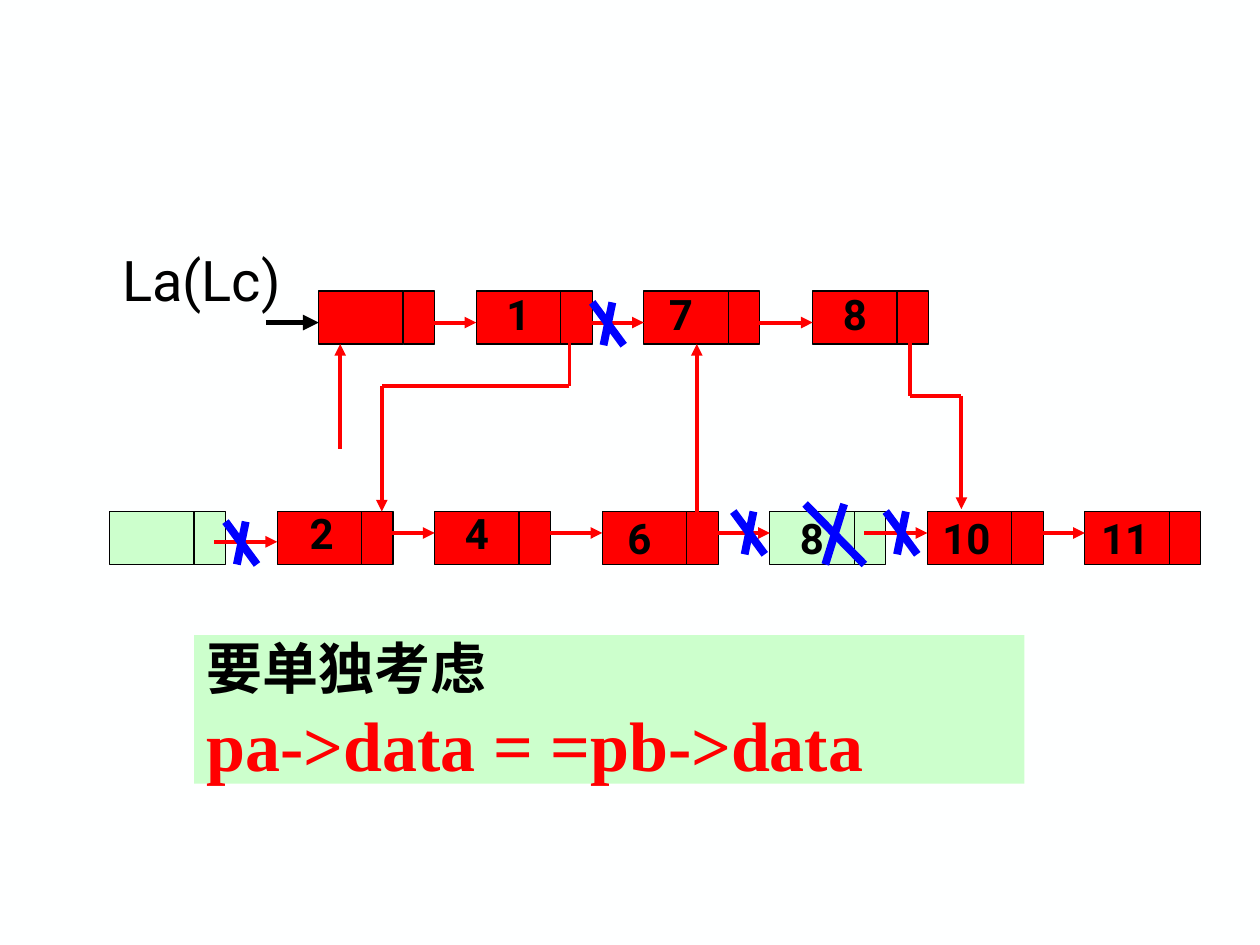
from collections import namedtuple

from lxml import etree
from pptx import Presentation
from pptx.dml.color import RGBColor
from pptx.enum.shapes import MSO_CONNECTOR, MSO_SHAPE
from pptx.enum.text import MSO_ANCHOR, MSO_AUTO_SIZE, PP_ALIGN
from pptx.oxml.ns import qn
from pptx.util import Inches, Pt

STRAIGHT = MSO_CONNECTOR.STRAIGHT
RECTANGLE = MSO_SHAPE.RECTANGLE
MIDDLE = MSO_ANCHOR.MIDDLE
FIT_SHAPE = MSO_AUTO_SIZE.SHAPE_TO_FIT_TEXT
LEFT = PP_ALIGN.LEFT

PAPER = RGBColor(0xFE, 0xFF, 0xFF)
BLACK = RGBColor(0, 0, 0)
RED = RGBColor(0xFF, 0, 0)
BLUE = RGBColor(0, 0, 0xFF)
GREEN = RGBColor(0xCC, 0xFF, 0xCC)

SANS, SERIF = "Roboto", "Times New Roman"
DATA_WIDTH, LINK_WIDTH, NODE_HEIGHT = 0.67, 0.25, 0.42
LABEL_HEIGHT = 0.5

Box = namedtuple("Box", "left top width height")
Node = namedtuple("Node", "left fill label label_left label_top",
                  defaults=("", 0, 0))


def add_text(para, text, *, size, color=BLACK, font=SANS, bold=False):
    span = para.add_run()
    span.text = text
    span.font.name = font
    span.font.size = Pt(size)
    span.font.bold = bold
    span.font.color.rgb = color


def add_label(shapes, box, text, *, wrap=False, **style):
    label = shapes.add_textbox(*map(Inches, box))
    label.text_frame.word_wrap = wrap
    label.text_frame.auto_size = FIT_SHAPE
    add_text(label.text_frame.paragraphs[0], text, **style)


def add_rectangle(shapes, box, fill, outline=None):
    rectangle = shapes.add_shape(RECTANGLE, *map(Inches, box))
    rectangle.shadow.inherit = False
    rectangle.fill.solid()
    rectangle.fill.fore_color.rgb = fill
    if outline is None:
        rectangle.line.fill.background()
    else:
        rectangle.line.color.rgb = outline
        rectangle.line.width = Pt(0.75)
    return rectangle


def add_line(shapes, start, end, *, color=RED, width=2.25, arrow=True):
    line = shapes.add_connector(STRAIGHT, *map(Inches, (*start, *end)))
    line.line.color.rgb = color
    line.line.width = Pt(width)
    if arrow:
        outline = line.line._get_or_add_ln()
        etree.SubElement(outline, qn("a:tailEnd"), type="triangle")
    etree.SubElement(line._element.spPr, qn("a:effectLst"))


def add_node(shapes, left, top, fill):
    """A data cell with a narrow link cell on its right."""
    group = shapes.add_group_shape()
    data = Box(left, top, DATA_WIDTH, NODE_HEIGHT)
    link = Box(left + DATA_WIDTH, top, LINK_WIDTH, NODE_HEIGHT)
    for cell in (data, link):
        add_rectangle(group.shapes, cell, fill, BLACK)


def add_cross(shapes, box, upstroke_left=0.09):
    group = shapes.add_group_shape()
    right, bottom = box.left + box.width, box.top + box.height
    upstroke_top = (right - upstroke_left, box.top)
    strokes = [(upstroke_top, (box.left + upstroke_left, bottom)),
               ((box.left, box.top), (right, bottom))]
    for start, end in strokes:
        add_line(group.shapes, start, end, color=BLUE, width=4.5, arrow=False)


def add_list_row(page, box, nodes, arrows):
    """One linked list: its nodes, forward arrows and values."""
    for node in nodes:
        add_node(page.shapes, box.left + node.left, box.top, node.fill)
    for left, top in arrows:
        start = (box.left + left, box.top + top)
        add_line(page.shapes, start, (start[0] + 0.5, start[1]))
    for node in nodes:
        if node.label:
            place = Box(box.left + node.left + node.label_left,
                        box.top + node.label_top,
                        0.2 + 0.19 * len(node.label), LABEL_HEIGHT)
            add_label(page.shapes, place, node.label, size=24, bold=True)


def add_relinks(page, box):
    """Lines between the two lists; only the last piece has an arrowhead."""
    routes = [
        [(0.17, 1.25), (0.17, 0.42)],
        [(1.99, 0.25), (1.99, 0.75), (0.5, 0.75), (0.5, 1.75)],
        [(3, 1.92), (3, 0.42)],
        [(4.69, 0.25), (4.69, 0.83), (5.1, 0.83), (5.1, 1.73)],
    ]
    for route in routes:
        points = [(box.left + x, box.top + y) for x, y in route]
        for start, end in zip(points, points[1:]):
            add_line(page.shapes, start, end, arrow=end == points[-1])


def add_head_pointer(page, box):
    add_label(page.shapes, box, "La(Lc)", wrap=True, size=32)
    start = (box.left + 1.24, box.top + 0.66)
    add_line(page.shapes, start, (start[0] + 0.42, start[1]),
             color=BLACK, width=3)


def add_note(page, box):
    note = add_rectangle(page.shapes, box, GREEN)
    frame = note.text_frame
    frame.word_wrap = True
    frame.vertical_anchor = MIDDLE
    para = frame.paragraphs[0]
    para.alignment = LEFT
    add_text(para, "要单独考虑", size=32, font=SERIF, bold=True)
    para.add_line_break()
    add_text(para, "pa->data = =pb->data", size=40, color=RED, font=SERIF,
             bold=True)


def add_crosses(page):
    """Marks on the removed links and on the removed node."""
    for left, top in [(4.7, 2.4), (5.82, 4.06), (1.79, 4.14), (7.03, 4.06)]:
        add_cross(page.shapes, Box(left, top, 0.25, 0.34))
    add_cross(page.shapes, Box(6.39, 4, 0.47, 0.48), upstroke_left=0.16)


def main():
    deck = Presentation()
    deck.slide_width, deck.slide_height = Inches(10), Inches(7.5)
    page = deck.slides.add_slide(deck.slide_layouts[6])
    page.background.fill.solid()
    page.background.fill.fore_color.rgb = PAPER

    add_note(page, Box(1.54, 5.04, 6.59, 1.18))

    upper = Box(2.53, 2.31, 4.83, NODE_HEIGHT)
    upper_nodes = [
        Node(0, RED),
        Node(1.25, RED, "1", 0.14, -0.07),
        Node(2.58, RED, "7", 0.1, -0.07),
        Node(3.92, RED, "8", 0.14, -0.07),
    ]
    upper_arrows = [(left, 0.25) for left in (0.75, 2.08, 3.42)]

    lower = Box(0.87, 4.06, 8.66, NODE_HEIGHT)
    lower_nodes = [
        Node(0, GREEN),
        Node(1.33, RED, "2", 0.16, -0.08),
        Node(2.58, RED, "4", 0.14, -0.08),
        Node(3.91, RED, "6", 0.1, -0.04),
        Node(5.24, GREEN, "8", 0.14, -0.04),
        Node(6.49, RED, "10", 0.02, -0.04),
        Node(7.74, RED, "11", 0.03, -0.04),
    ]
    lower_arrows = [(0.83, 0.24)]
    lower_arrows += [(node.left - 0.5, 0.17) for node in lower_nodes[2:]]

    add_list_row(page, upper, upper_nodes, upper_arrows)
    add_list_row(page, lower, lower_nodes, lower_arrows)
    add_relinks(page, Box(upper.left, upper.top, 5.1, 1.92))
    add_head_pointer(page, Box(0.87, 1.9, 1.48, 0.64))
    add_crosses(page)

    deck.save("out.pptx")


if __name__ == "__main__":
    main()
